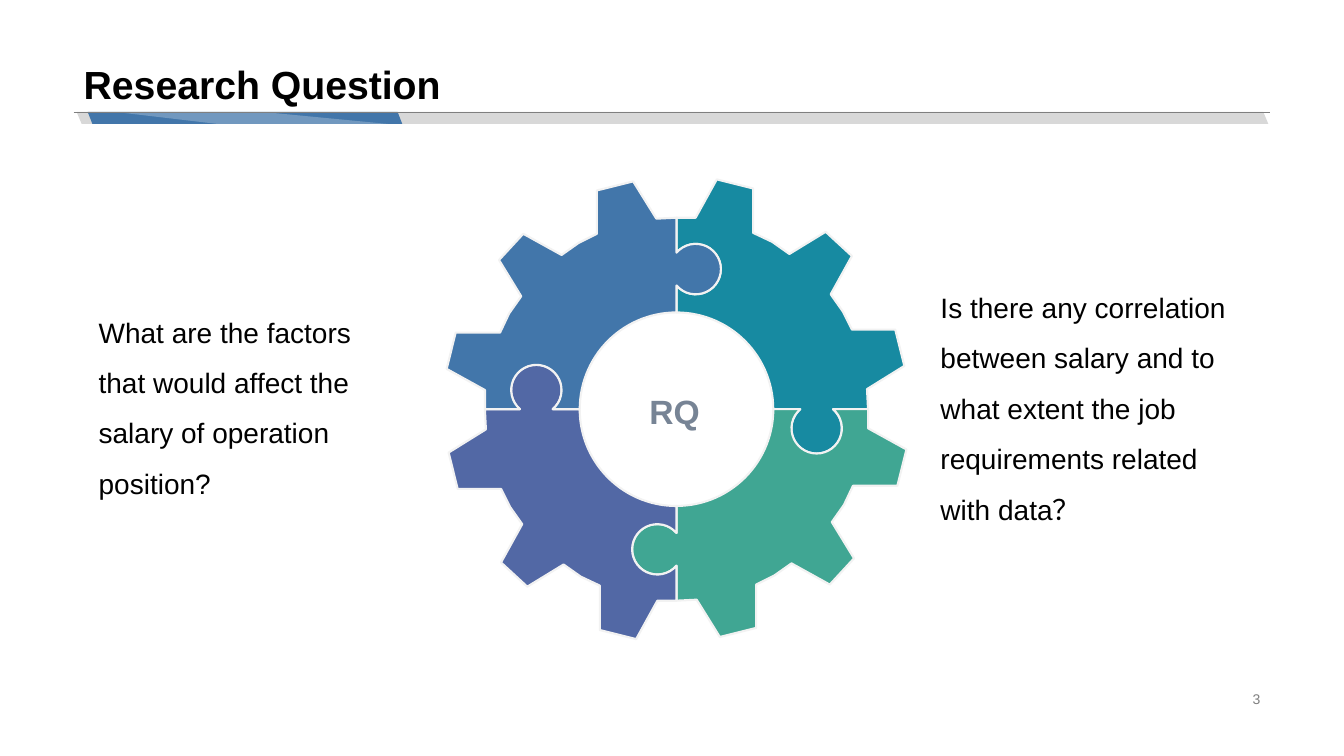
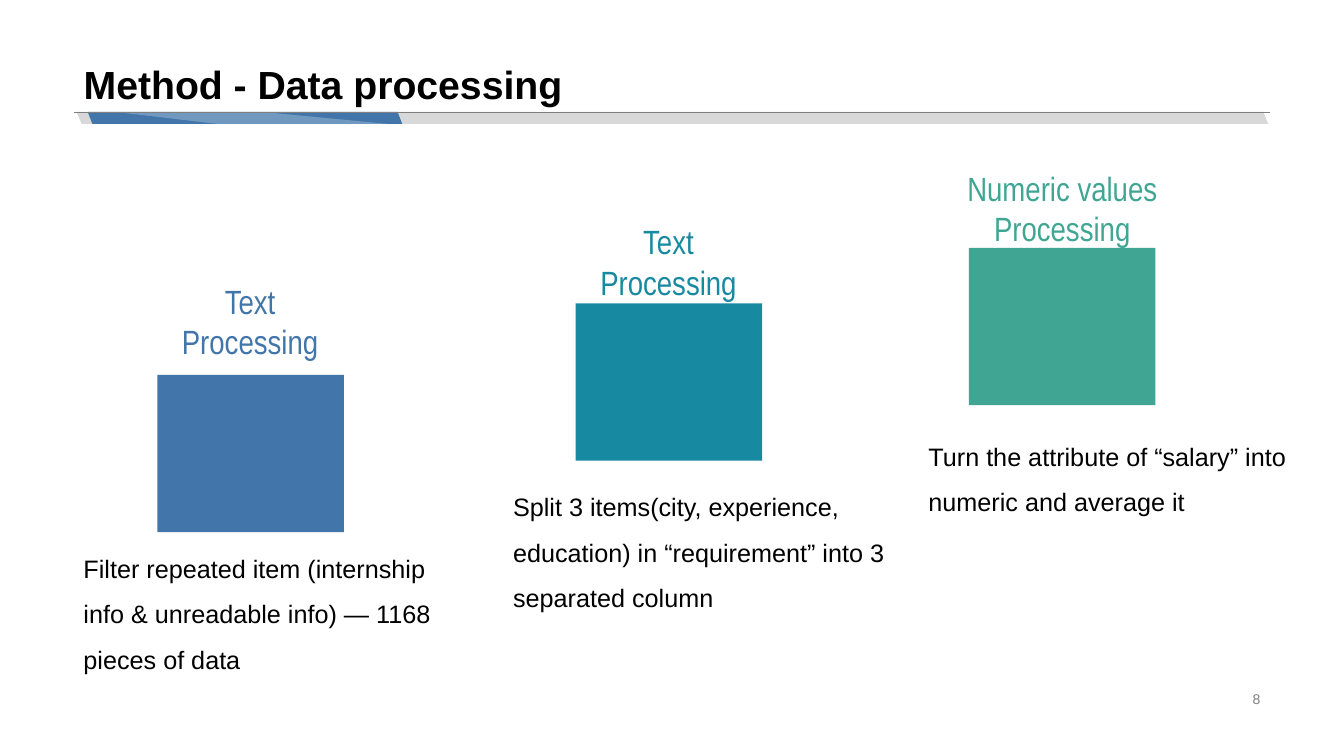
"""Build the research question and data processing slides."""
from dataclasses import dataclass
from math import asin, cos, degrees, radians, sin

from lxml import etree
from pptx import Presentation
from pptx.dml.color import RGBColor
from pptx.enum import shapes, text
from pptx.oxml import ns
from pptx.util import Inches, Pt

BLACK = RGBColor(0x00, 0x00, 0x00)
WHITE = RGBColor(0xFF, 0xFF, 0xFF)
GRAY = RGBColor(0x7F, 0x7F, 0x7F)
BAND_GRAY = RGBColor(0xD8, 0xD8, 0xD8)
EDGE_GRAY = RGBColor(0xF2, 0xF2, 0xF2)
SLATE = RGBColor(0x77, 0x84, 0x95)
BLUE = RGBColor(0x42, 0x76, 0xAA)
TEAL = RGBColor(0x17, 0x8A, 0xA1)
GREEN = RGBColor(0x40, 0xA6, 0x93)
PURPLE = RGBColor(0x52, 0x68, 0xA5)

LEFT, MIDDLE_ALIGN, RIGHT = text.PP_ALIGN.LEFT, text.PP_ALIGN.CENTER, text.PP_ALIGN.RIGHT
TOP, MIDDLE, BOTTOM = text.MSO_ANCHOR.TOP, text.MSO_ANCHOR.MIDDLE, text.MSO_ANCHOR.BOTTOM

GEAR_CENTER = (6.71, 4.06)
HOLE_RADIUS = 0.96
KNOB_CENTER = (1.39, 0.19)
KNOB_RADIUS = 0.25
TEETH = [
    (0, -1.9), (0.19, -1.9), (0.4, -2.28), (0.76, -2.19), (0.76, -1.75),
    (0.95, -1.66), (1.12, -1.54), (1.48, -1.76), (1.74, -1.52), (1.53, -1.14),
    (1.65, -0.97), (1.74, -0.79), (2.17, -0.79), (2.26, -0.43), (1.89, -0.2), (1.9, 0),
]
GEAR_COLORS = [TEAL, GREEN, PURPLE, BLUE]

Point = tuple[float, float]
Box = tuple[float, float, float, float]


@dataclass(frozen=True)
class TextStyle:
    size: float
    color: RGBColor = BLACK
    font: str = "Arial"
    bold: bool = False
    align: text.PP_ALIGN = LEFT
    anchor: text.MSO_ANCHOR = MIDDLE
    line_spacing: float = 1.0
    padded: bool = True


@dataclass(frozen=True)
class Step:
    heading: str
    heading_box: Box
    color: RGBColor
    block_corner: Point
    caption: str
    caption_box: Box


TITLE = TextStyle(28, bold=True, anchor=BOTTOM, line_spacing=0.9)
PAGE_NUMBER = TextStyle(10, GRAY, align=RIGHT)
QUESTION = TextStyle(20, line_spacing=1.5)
HUB = TextStyle(24, SLATE, bold=True, align=MIDDLE_ALIGN)
CAPTION = TextStyle(18, anchor=TOP, line_spacing=1.5)

QUESTIONS = [
    ("What are the factors that would affect the salary of operation position?",
     (0.88, 2.68, 3.24, 2.56)),
    ("Is there any correlation between salary and to what extent the job "
     "requirements related with data？", (9.23, 2.77, 3.06, 2.39)),
]

STEPS = [
    Step("Text\nProcessing", (1.67, 2.54, 1.62, 1.29), BLUE, (1.56, 3.72),
         "Filter repeated item (internship info & unreadable info) — 1168 pieces of data",
         (0.73, 5.29, 3.93, 1.46)),
    Step("Text\nProcessing", (5.8, 1.87, 1.66, 1.45), TEAL, (5.71, 3.01),
         "Split 3 items(city, experience, education) in “requirement” into 3 separated column",
         (4.99, 4.68, 3.92, 1.46)),
    Step("Numeric values\nProcessing", (9.34, 1.41, 2.39, 1.31), GREEN, (9.61, 2.46),
         "Turn the attribute of “salary” into numeric and average it",
         (9.11, 4.18, 3.99, 1.01)),
]


def format_text(shape, content: str, style: TextStyle) -> None:
    frame = shape.text_frame
    frame.text = content
    frame.word_wrap = True
    frame.auto_size = text.MSO_AUTO_SIZE.NONE
    frame.vertical_anchor = style.anchor
    frame.margin_left = frame.margin_right = Inches(0.1 if style.padded else 0)
    frame.margin_top = frame.margin_bottom = Inches(0.05 if style.padded else 0)
    for paragraph in frame.paragraphs:
        paragraph.alignment = style.align
        paragraph.line_spacing = style.line_spacing
        for run in paragraph.runs:
            run.font.name = style.font
            run.font.size = Pt(style.size)
            run.font.bold = style.bold
            run.font.color.rgb = style.color


def add_text(slide, content: str, box: Box, style: TextStyle) -> None:
    shape = slide.shapes.add_textbox(*map(Inches, box))
    format_text(shape, content, style)


def fill_shape(shape, color: RGBColor) -> None:
    shape.shadow.inherit = False
    shape.fill.solid()
    shape.fill.fore_color.rgb = color
    shape.line.fill.background()


def add_block(slide, kind: shapes.MSO_SHAPE, box: Box, color: RGBColor):
    shape = slide.shapes.add_shape(kind, *map(Inches, box))
    fill_shape(shape, color)
    return shape


def add_outline(slide, points: list[Point], color: RGBColor):
    corners = [(Inches(x), Inches(y)) for x, y in points]
    builder = slide.shapes.build_freeform(*corners[0])
    builder.add_line_segments(corners[1:], close=True)
    shape = builder.convert_to_shape()
    fill_shape(shape, color)
    return shape


def add_band(slide, box: Box, color: RGBColor, slant: float):
    band = add_block(slide, shapes.MSO_SHAPE.PARALLELOGRAM, box, color)
    band.adjustments[0] = slant
    band.element.spPr.get_or_add_xfrm().set("flipH", "1")
    return band


def prepare_layout(layout, slide) -> None:
    title = layout.placeholders[0]
    title.left, title.top, title.width, title.height = map(Inches, (0.73, 0, 11.87, 1.12))
    gray_band = add_band(slide, (0.76, 1.11, 11.82, 0.12), BAND_GRAY, 0.42)
    blue_band = add_band(slide, (0.87, 1.11, 3.12, 0.12), BLUE, 0.39)
    sheen = add_outline(slide, [(3.85, 1.23), (2.6, 1.11), (1.14, 1.11), (2.16, 1.23)], WHITE)
    sheen_color = next(sheen.element.spPr.iter(ns.qn("a:srgbClr")))
    etree.SubElement(sheen_color, ns.qn("a:alpha"), val="25000")
    rule = slide.shapes.add_connector(
        shapes.MSO_CONNECTOR.STRAIGHT, Inches(0.73), Inches(1.12), Inches(12.6), Inches(1.12))
    rule.line.color.rgb = GRAY
    rule.line.width = Pt(0.75)
    etree.SubElement(rule.element.spPr, ns.qn("a:effectLst"))
    for shape in (gray_band, blue_band, sheen, rule):
        layout.shapes.element.append(shape.element)


def add_heading(slide, title: str, number: int) -> None:
    format_text(slide.shapes.title, title, TITLE)
    add_text(slide, str(number), (9.42, 6.82, 3.18, 0.23), PAGE_NUMBER)


def arc(center: Point, radius: float, start: float, end: float, steps: int = 30) -> list[Point]:
    angles = [radians(start + (end - start) * step / steps) for step in range(steps + 1)]
    return [(center[0] + radius * cos(a), center[1] + radius * sin(a)) for a in angles]


def rotate(points: list[Point], quarters: int) -> list[Point]:
    for _ in range(quarters % 4):
        points = [(-y, x) for x, y in points]
    return points


def gear_quarter() -> list[Point]:
    neck = degrees(asin(KNOB_CENTER[1] / KNOB_RADIUS))
    knob = arc(KNOB_CENTER, KNOB_RADIUS, -neck, 180 + neck)
    socket = rotate(knob[::-1], -1)
    return TEETH + knob + arc((0, 0), HOLE_RADIUS, 0, -90) + socket


def add_gear(slide) -> None:
    quarter = gear_quarter()
    for turn, color in enumerate(GEAR_COLORS):
        points = [(GEAR_CENTER[0] + x, GEAR_CENTER[1] + y) for x, y in rotate(quarter, turn)]
        piece = add_outline(slide, points, color)
        piece.line.color.rgb = EDGE_GRAY
        piece.line.width = Pt(1.5)
    add_text(slide, "RQ", (5.78, 3.83, 1.82, 0.5), HUB)


def add_step(slide, step: Step) -> None:
    add_block(slide, shapes.MSO_SHAPE.RECTANGLE, (*step.block_corner, 1.85, 1.56), step.color)
    heading = TextStyle(24, step.color, "Arial Narrow", align=MIDDLE_ALIGN, padded=False)
    add_text(slide, step.heading, step.heading_box, heading)
    add_text(slide, step.caption, step.caption_box, CAPTION)


def main() -> None:
    presentation = Presentation()
    presentation.slide_width = Inches(13.33)
    presentation.slide_height = Inches(7.5)
    layout = presentation.slide_layouts.get_by_name("Title Only")

    question_slide = presentation.slides.add_slide(layout)
    prepare_layout(layout, question_slide)
    add_heading(question_slide, "Research Question", 3)
    add_gear(question_slide)
    for question, box in QUESTIONS:
        add_text(question_slide, question, box, QUESTION)

    method_slide = presentation.slides.add_slide(layout)
    add_heading(method_slide, "Method - Data processing", 8)
    for step in STEPS:
        add_step(method_slide, step)

    presentation.save("out.pptx")


if __name__ == "__main__":
    main()
